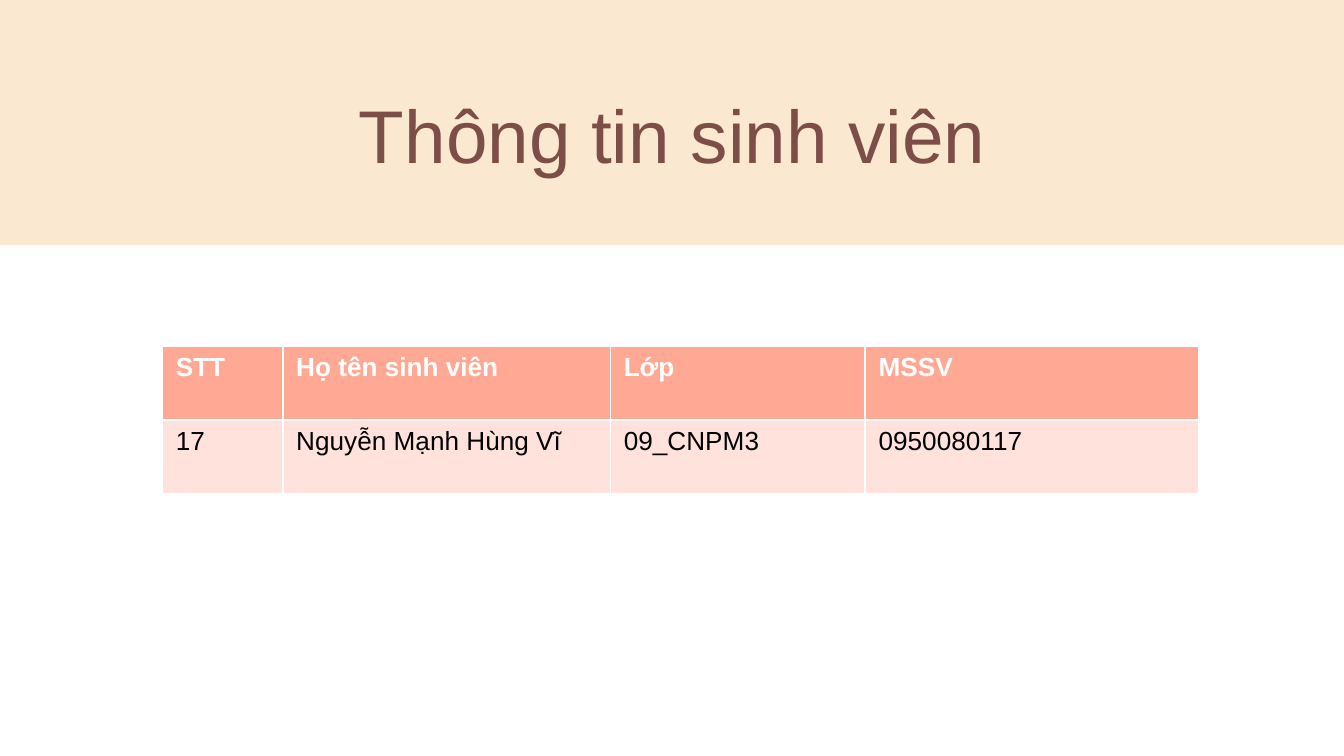
"""Build the student information slide with a title band and a table."""
from pptx import Presentation
from pptx.dml.color import RGBColor
from pptx.enum.shapes import MSO_SHAPE
from pptx.enum.text import MSO_ANCHOR, MSO_AUTO_SIZE, PP_ALIGN
from pptx.util import Pt

PX = 9525
FONT = "Arial"
CREAM = RGBColor(0xFA, 0xE8, 0xD0)
BROWN = RGBColor(0x7D, 0x4E, 0x47)
CORAL = RGBColor(0xFF, 0xA9, 0x94)
BLUSH = RGBColor(0xFF, 0xE2, 0xDC)
WHITE = RGBColor(0xFF, 0xFF, 0xFF)
BLACK = RGBColor(0x00, 0x00, 0x00)

ROWS = [
    ("STT", "Họ tên sinh viên", "Lớp", "MSSV"),
    ("17", "Nguyễn Mạnh Hùng Vĩ", "09_CNPM3", "0950080117"),
]
ROW_STYLES = [(CORAL, WHITE, True), (BLUSH, BLACK, False)]
COLUMN_WIDTHS = [86, 234, 182, 238]
ROW_HEIGHT = 53


def px(*lengths):
    return [length * PX for length in lengths]


def format_font(run, size, color, bold=False):
    run.font.name = FONT
    run.font.size = Pt(size)
    run.font.bold = bold
    run.font.color.rgb = color


presentation = Presentation()
presentation.slide_width, presentation.slide_height = px(960, 540)
slide = presentation.slides.add_slide(presentation.slide_layouts[5])
slide.background.fill.solid()
slide.background.fill.fore_color.rgb = WHITE

band = slide.shapes.add_shape(MSO_SHAPE.RECTANGLE, *px(0, 0, 960, 175))
band.shadow.inherit = False
band.fill.solid()
band.fill.fore_color.rgb = CREAM
band.line.fill.background()

title = slide.shapes.title
band.element.addnext(title.element)
title.left, title.top, title.width, title.height = px(139, 60, 682, 68)
text_frame = title.text_frame
text_frame.text = "Thông tin sinh viên"
text_frame.word_wrap = True
text_frame.auto_size = MSO_AUTO_SIZE.SHAPE_TO_FIT_TEXT
text_frame.vertical_anchor = MSO_ANCHOR.TOP
text_frame.margin_left = text_frame.margin_right = 0
text_frame.margin_top = text_frame.margin_bottom = 0
paragraph = text_frame.paragraphs[0]
paragraph.alignment = PP_ALIGN.CENTER
paragraph.line_spacing = 1.05
format_font(paragraph.runs[0], 40, BROWN)

table_size = (sum(COLUMN_WIDTHS), ROW_HEIGHT * len(ROWS))
table = slide.shapes.add_table(
    len(ROWS), len(COLUMN_WIDTHS), *px(116, 247, *table_size)
).table
for column, width in zip(table.columns, px(*COLUMN_WIDTHS)):
    column.width = width

for row, texts, (fill, color, bold) in zip(table.rows, ROWS, ROW_STYLES):
    row.height = ROW_HEIGHT * PX
    for cell, text in zip(row.cells, texts):
        cell.fill.solid()
        cell.fill.fore_color.rgb = fill
        cell.text_frame.text = text
        format_font(cell.text_frame.paragraphs[0].runs[0], 14, color, bold)

presentation.save("out.pptx")
